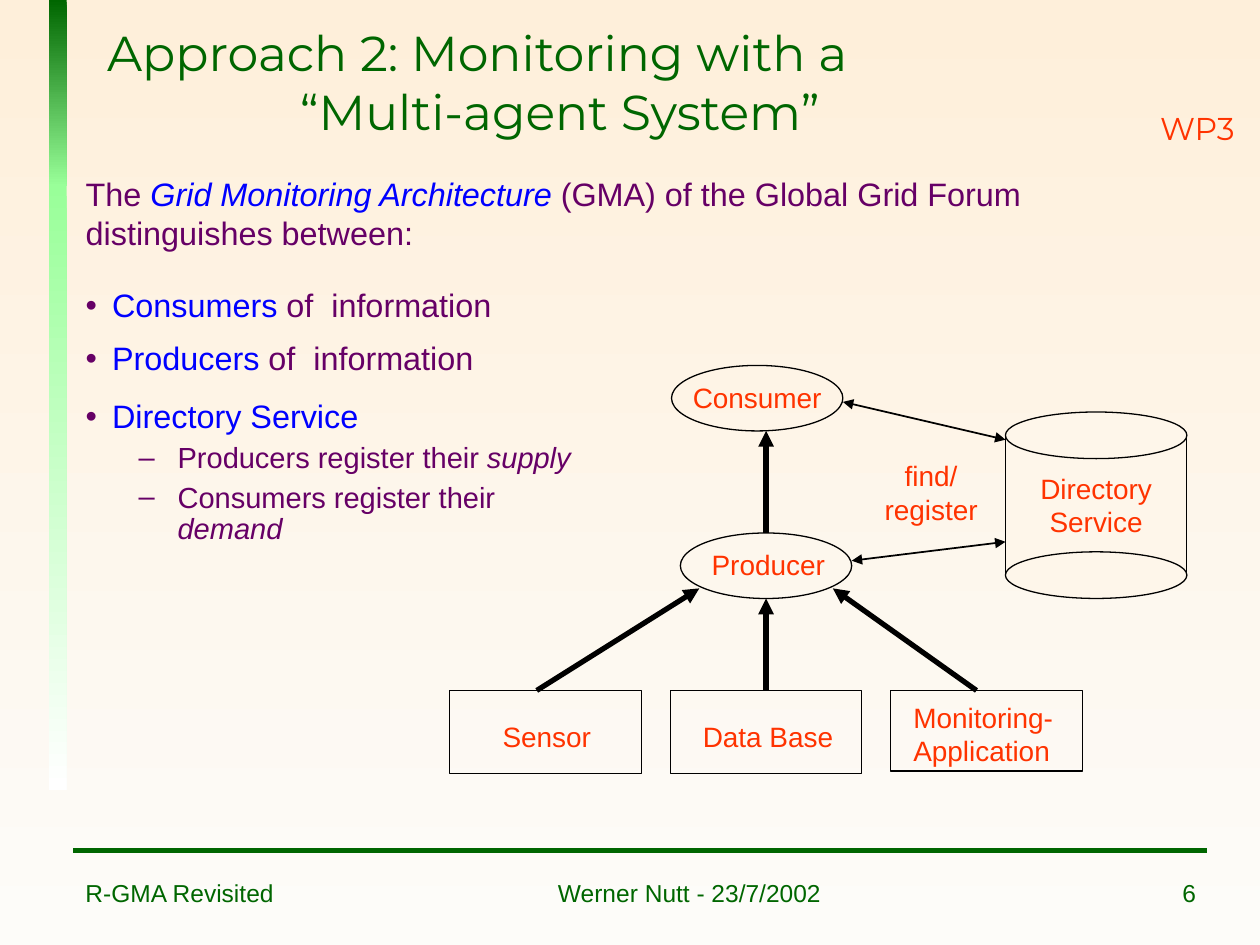
"""Builds the slide on monitoring with a multi-agent system."""
from lxml.etree import SubElement
from pptx import Presentation
from pptx.dml.color import RGBColor
from pptx.enum.shapes import MSO_CONNECTOR, MSO_SHAPE
from pptx.enum.text import MSO_ANCHOR, MSO_AUTO_SIZE, PP_ALIGN
from pptx.oxml.ns import qn
from pptx.util import Inches, Pt

HUES = {"green": "006600", "lime": "99FF99", "white": "FFFFFF", "red": "FF3300",
        "plum": "660066", "blue": "0000FF", "black": "000000",
        "peach": "FEEFDA", "cream": "FDFCF9", "sand": "FEF6EA"}
PAPER = ("peach", "cream")
LEFT, MID, RIGHT = PP_ALIGN.LEFT, PP_ALIGN.CENTER, PP_ALIGN.RIGHT

TITLE = [("Approach 2: Monitoring with a", 0), ("“Multi-agent System”", 1.53)]
INTRO = [("The ", "plum", False), ("Grid Monitoring Architecture", "blue", True),
         (" (GMA) of the Global Grid Forum\ndistinguishes between:", "plum", False)]
ITEMS = [
    (0, 0, [("Consumers", "blue", False), (" of  information", "plum", False)]),
    (0, 10, [("Producers", "blue", False), (" of  information", "plum", False)]),
    (0, 13.4, [("Directory Service", "blue", False)]),
    (1, 4.5, [("Producers register their ", "plum", False), ("supply", "plum", True)]),
    (1, 4.5, [("Consumers register their ", "plum", False), ("demand", "plum", True)]),
]
LEVELS = [("•", 0.21, -0.21, 18.5), ("–", 0.73, -0.31, 16.6)]

BARS = [(0, 1.48, ("green", "lime")), (1.46, 4.81, ("lime", "white"))]
AGENTS = [(5.33, 2.9), (5.4, 4.23)]
HEIGHTS = [0.66, 0.66, 0.64]
STORE = [(MSO_SHAPE.RECTANGLE, 3.45, 1.11), (MSO_SHAPE.OVAL, 4.38, 0.37),
         (MSO_SHAPE.OVAL, 3.27, 0.37)]
LABELS = [
    ("Consumer", 5.4, 2.97, 1.23, 0.37, LEFT),
    ("Producer", 5.55, 4.3, 1.23, 0.37, LEFT),
    ("Sensor", 3.89, 5.66, 1, 0.37, LEFT),
    ("Data Base", 5.48, 5.66, 1.33, 0.37, LEFT),
    ("Monitoring-\nApplication", 7.15, 5.51, 1.41, 0.64, LEFT),
    ("Directory\nService", 8.1, 3.69, 1.2, 0.64, MID),
    ("find/\nregister", 6.89, 3.59, 1, 0.64, MID),
]
FLOWS = [(4.26, 5.48, 5.55, 4.67), (7.75, 5.48, 6.61, 4.67), (6.08, 4.23, 6.08, 3.42)]
LOOKUPS = [(6.69, 3.19, 7.98, 3.49), (6.76, 4.45, 7.98, 4.3)]
FOOTER = [("R-GMA Revisited", 0.58, 3.67, LEFT),
          ("Werner Nutt - 23/7/2002", 4.33, 4.25, LEFT), ("6", 8.67, 0.92, RIGHT)]


def rgb(hue):
    return RGBColor.from_string(HUES[hue])


def shade(fill, pair):
    fill.gradient()
    fill.gradient_angle = 270
    for stop, hue in zip(fill.gradient_stops, pair):
        stop.color.rgb = rgb(hue)


def write(para, runs, size, face="Arial"):
    for text, hue, slant in runs:
        for n, part in enumerate(text.split("\n")):
            if n:
                para.add_line_break()
            run = para.add_run()
            run.text = part
            run.font.name, run.font.size = face, Pt(size)
            run.font.italic = slant
            run.font.color.rgb = rgb(hue)


def indent(para, left, first=0, mark=None):
    props = para._p.get_or_add_pPr()
    props.set("marL", str(Inches(left)))
    props.set("indent", str(Inches(first)))
    if mark:
        tint = SubElement(props, qn("a:buClr"))
        SubElement(tint, qn("a:srgbClr"), val=HUES["plum"])
        SubElement(props, qn("a:buChar"), char=mark)
    else:
        SubElement(props, qn("a:buNone"))


def place(shape, *box):
    shape.left, shape.top, shape.width, shape.height = map(Inches, box)
    frame = shape.text_frame
    frame.word_wrap, frame.auto_size = True, MSO_AUTO_SIZE.NONE
    return frame


def label(slide, text, box, hue, size, align=LEFT, face="Arial"):
    frame = slide.shapes.add_textbox(*map(Inches, box)).text_frame
    frame.word_wrap = True
    para = frame.paragraphs[0]
    para.alignment = align
    write(para, [(text, hue, False)], size, face)


def form(slide, kind, box, pair=None, hue=None):
    shape = slide.shapes.add_shape(kind, *map(Inches, box))
    shape.shadow.inherit = False
    if pair:
        shade(shape.fill, pair)
        shape.line.fill.background()
        return shape
    if hue:
        shape.fill.solid()
        shape.fill.fore_color.rgb = rgb(hue)
    else:
        shape.fill.background()
    shape.line.color.rgb = rgb("black")
    shape.line.width = Pt(0.75)
    return shape


def link(slide, ends, width, hue="black", tips=()):
    line = slide.shapes.add_connector(MSO_CONNECTOR.STRAIGHT, *map(Inches, ends))
    line.line.color.rgb = rgb(hue)
    line.line.width = Pt(width)
    for tip in tips:
        SubElement(line.line._ln, qn("a:" + tip), type="triangle")
    SubElement(line._element.spPr, qn("a:effectLst"))
    return line


def fill_text(slide):
    title, intro, items = slide.placeholders
    frame = place(title, 0.75, 0.25, 6.67, 0.79)
    frame.vertical_anchor = MSO_ANCHOR.MIDDLE
    for n, (text, left) in enumerate(TITLE):
        para = frame.add_paragraph() if n else frame.paragraphs[0]
        indent(para, left)
        para.alignment, para.space_before = LEFT, Pt(0)
        write(para, [(text, "green", False)], 28, "Montserrat")

    para = place(intro, 0.58, 1.33, 8.92, 0.75).paragraphs[0]
    indent(para, 0)
    para.space_before = Pt(0)
    write(para, INTRO, 18.5)

    frame = place(items, 0.58, 2.25, 4.17, 2.67)
    for n, (level, gap, runs) in enumerate(ITEMS):
        para = frame.add_paragraph() if n else frame.paragraphs[0]
        mark, left, first, size = LEVELS[level]
        indent(para, left, first, mark)
        para.level, para.line_spacing, para.space_before = level, 0.9, Pt(gap)
        write(para, runs, size)


def draw(slide):
    for left, top in AGENTS:
        form(slide, MSO_SHAPE.OVAL, (left, top, 1.36, 0.52))
    boxes = [form(slide, MSO_SHAPE.RECTANGLE, (3.57 + 1.75 * n, 5.48, 1.52, high))
             for n, high in enumerate(HEIGHTS)]
    feed = link(slide, (6.08, 5.48, 6.08, 4.75), 3, tips=["tailEnd"])
    feed.begin_connect(boxes[1], 0)
    for ends in FLOWS:
        link(slide, ends, 3, tips=["tailEnd"])
    for kind, top, high in STORE:
        form(slide, kind, (7.98, top, 1.44, high), hue="sand")
    for ends in LOOKUPS:
        link(slide, ends, 1, tips=["headEnd", "tailEnd"])
    for text, *box, align in LABELS:
        label(slide, text, box, "red", 16, align)


def main():
    deck = Presentation()
    deck.slide_width, deck.slide_height = Inches(10), Inches(7.5)
    slide = deck.slides.add_slide(deck.slide_layouts[3])
    shade(slide.background.fill, PAPER)
    for top, high, pair in BARS:
        form(slide, MSO_SHAPE.RECTANGLE, (0.39, top, 0.14, high), pair)
    link(slide, (0.58, 6.75, 9.58, 6.75), 3, "green")
    label(slide, "WP3", (9.11, 0.82, 0.92, 0.4), "red", 18, face="Montserrat")
    fill_text(slide)
    draw(slide)
    for text, left, wide, align in FOOTER:
        label(slide, text, (left, 6.92, wide, 0.5), "green", 14, align)
    deck.save("out.pptx")


if __name__ == "__main__":
    main()
